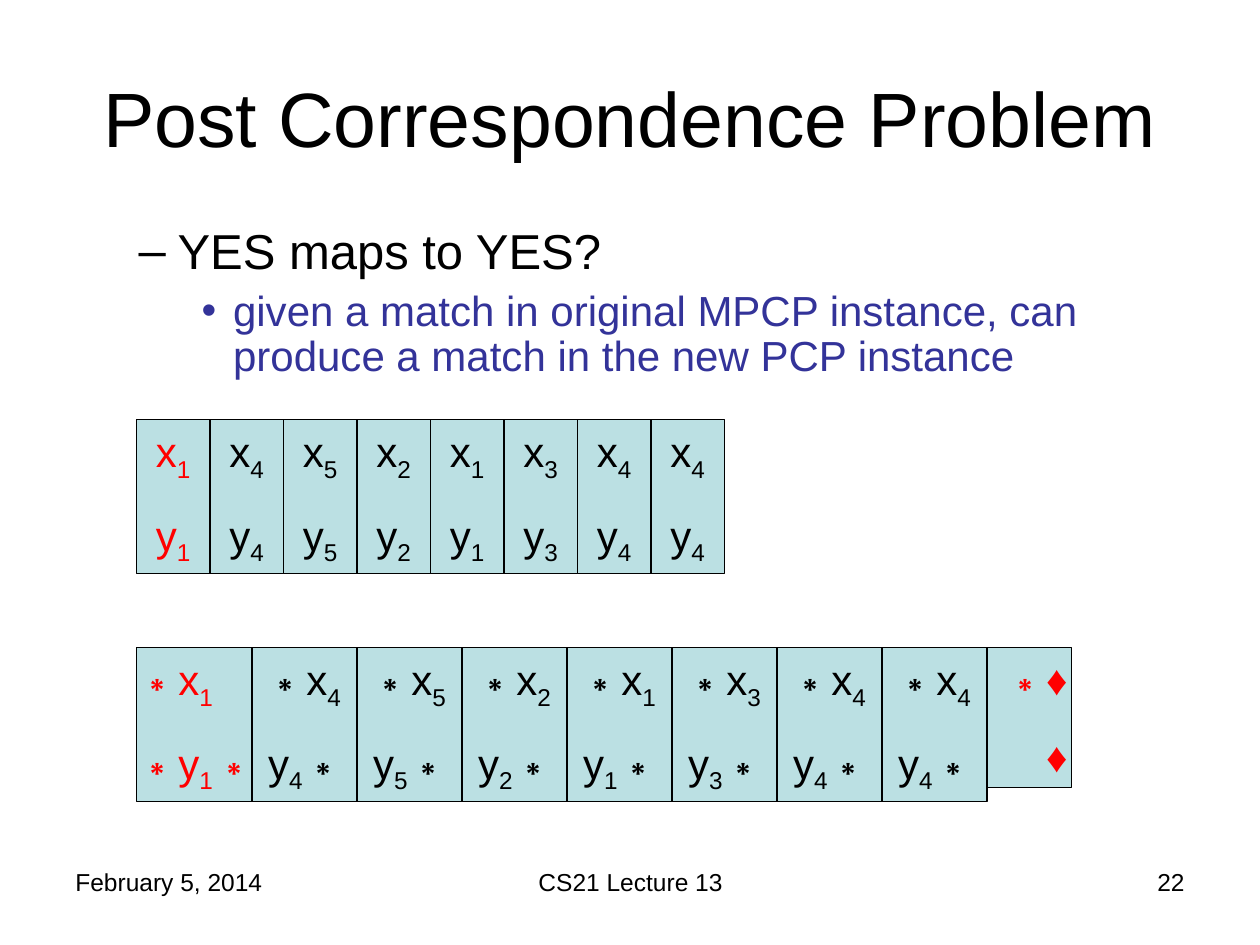
from lxml import etree
from pptx import Presentation
from pptx.dml.color import RGBColor
from pptx.enum import shapes, text
from pptx.oxml.ns import qn
from pptx.util import Inches, Pt

COLORS = {"black": "000000", "red": "FF0000", "blue": "333399", "tile": "BBE0E3"}
LEFT, CENTER, RIGHT = text.PP_ALIGN.LEFT, text.PP_ALIGN.CENTER, text.PP_ALIGN.RIGHT


def rgb(name):
    return RGBColor.from_string(COLORS[name])


class Deck:
    """Holds the style and the current slide."""
    font = "Arial"

    def __init__(self, prs):
        self.s = prs.slides.add_slide(prs.slide_layouts[1])

    def place(self, sp, x, y, w, h):
        sp.left, sp.top, sp.width, sp.height = map(Inches, (x, y, w, h))

    def run(self, p, words, size, color="black", sub=False):
        r = p.add_run()
        r.text = words
        r.font.size, r.font.name = Pt(size), self.font
        r.font.color.rgb = rgb(color)
        if sub:
            r.font._element.set("baseline", "-25000")

    def title(self, words, box):
        sp = self.s.shapes.title
        self.place(sp, *box)
        tf = sp.text_frame
        tf.vertical_anchor = text.MSO_ANCHOR.MIDDLE
        p = tf.paragraphs[0]
        p.alignment = CENTER
        self.run(p, words, 44)

    def bullets(self, items, box):
        sp = self.s.placeholders[1]
        self.place(sp, *box)
        tf = sp.text_frame
        tf.auto_size = text.MSO_AUTO_SIZE.NONE
        for i, (words, level, size, color, mark, margin, hang, before) in enumerate(items):
            p = tf.add_paragraph() if i else tf.paragraphs[0]
            p.level, p.line_spacing, p.space_before = level, 0.9, Pt(before)
            pPr = p._p.get_or_add_pPr()
            pPr.set("marL", str(Inches(margin)))
            pPr.set("indent", str(-Inches(hang)))
            clr = etree.SubElement(pPr, qn("a:buClr"))
            etree.SubElement(clr, qn("a:srgbClr"), val=COLORS[color])
            etree.SubElement(pPr, qn("a:buFont"), typeface=self.font)
            etree.SubElement(pPr, qn("a:buChar"), char=mark)
            self.run(p, words, size, color)

    def label(self, words, box, align):
        sp = self.s.shapes.add_textbox(*map(Inches, box))
        tf = sp.text_frame
        tf.word_wrap = True
        p = tf.paragraphs[0]
        p.alignment = align
        self.run(p, words, 14)

    def tile(self, lines, box, color, inset=0.1):
        """Each line is an alignment and its text; digits become subscripts."""
        sp = self.s.shapes.add_shape(shapes.MSO_SHAPE.RECTANGLE, *map(Inches, box))
        sp.shadow.inherit = False
        sp.fill.solid()
        sp.fill.fore_color.rgb = rgb("tile")
        sp.line.color.rgb, sp.line.width = rgb("black"), Pt(0.75)
        tf = sp.text_frame
        tf.word_wrap, tf.vertical_anchor = False, text.MSO_ANCHOR.TOP
        tf.margin_left = tf.margin_right = Inches(inset)
        for i, (align, words) in enumerate(lines):
            p = tf.add_paragraph() if i else tf.paragraphs[0]
            p.alignment, p.space_before = align, Pt(15)
            head = words.rstrip("∗")
            if head[-1].isdigit():
                self.run(p, head[:-1], 24, color)
                self.run(p, head[-1], 24, color, sub=True)
                if head != words:
                    self.run(p, words[len(head):], 24, color)
            else:
                self.run(p, words, 24, color)


def main():
    prs = Presentation()
    prs.slide_width, prs.slide_height = Inches(10), Inches(7.5)
    deck = Deck(prs)

    # Footer
    deck.label("February 5, 2014", (0.5, 6.83, 2.33, 0.52), LEFT)
    deck.label("CS21 Lecture 13", (3.42, 6.83, 3.17, 0.52), CENTER)
    deck.label("22", (7.17, 6.83, 2.33, 0.52), RIGHT)

    # Title and bullets
    deck.title("Post Correspondence Problem", (0.5, 0.3, 9, 1.25))
    deck.bullets([
        ("YES maps to YES?", 1, 28, "black", "–", 0.81, 0.31, 7),
        ("given a match in original MPCP instance, can produce a match "
         "in the new PCP instance", 2, 24, "blue", "•", 1.25, 0.25, 6),
    ], (0.5, 1.75, 9, 1.67))

    match = [1, 4, 5, 2, 1, 3, 4, 4]
    left, height = 13 / 12, 1.22

    # MPCP match: equal tiles, the first one in red
    width = 7 / 12
    for i, n in enumerate(match):
        deck.tile([(CENTER, f"x{n}"), (CENTER, f"y{n}")],
                  (left + i * width, 3.33, width, height), "black" if i else "red")

    # PCP match: starred tiles, a wider first one and a closing diamond
    x, top = left, 5.14
    for i, n in enumerate(match):
        width = 5 / 6 if i else 11 / 12
        lower = (RIGHT, f"y{n}∗") if i else (LEFT, f"∗y{n}∗")
        deck.tile([(LEFT, f"∗x{n}"), lower], (x, top, width, height),
                  "black" if i else "red", inset=0.1 if i else 0)
        x += width
    deck.tile([(RIGHT, "∗♦"), (RIGHT, "♦")], (x, top, 0.67, 1.11), "red", inset=0.03)

    prs.save("out.pptx")


if __name__ == "__main__":
    main()
